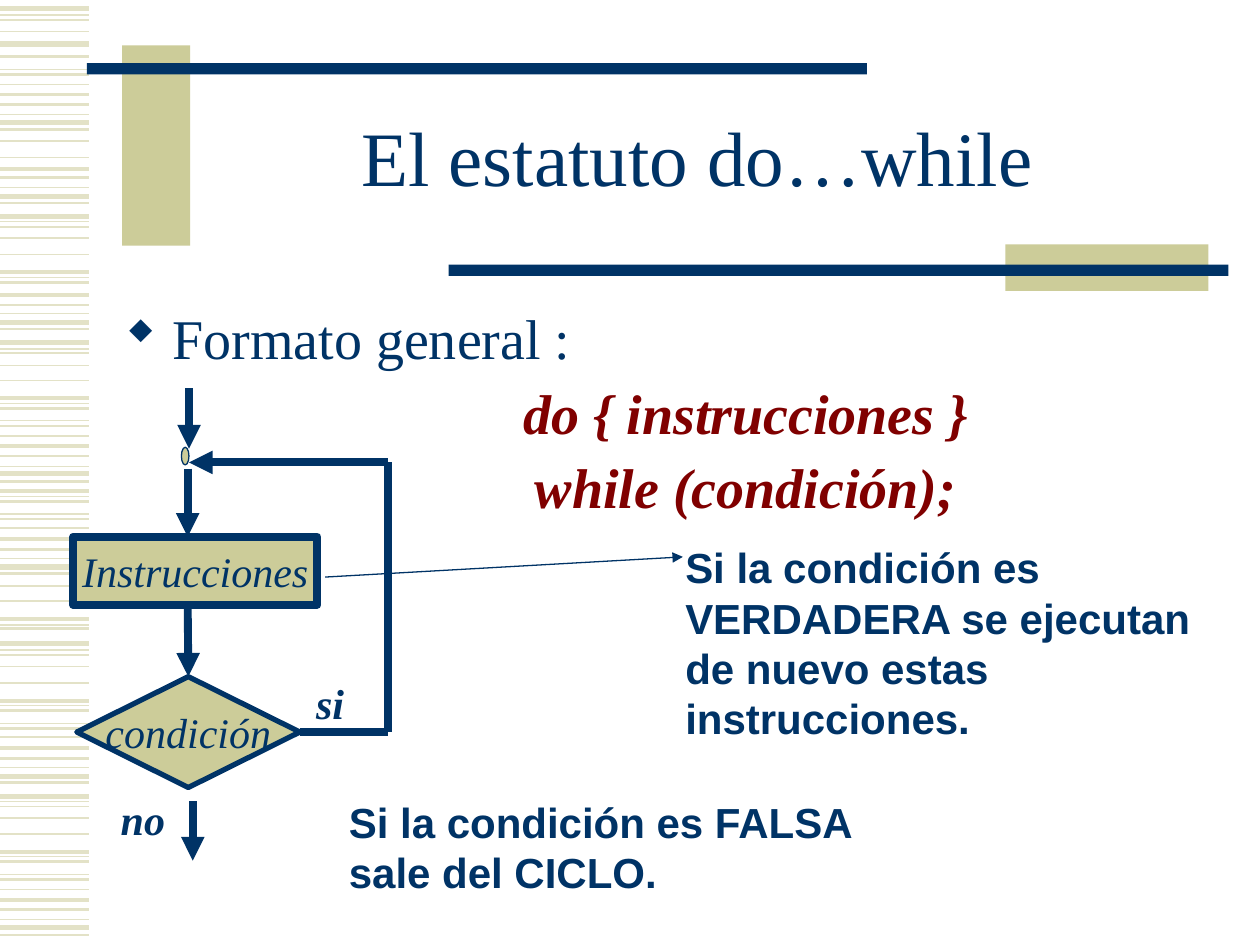
from lxml import etree
from pptx import Presentation
from pptx.dml.color import RGBColor
from pptx.enum.shapes import MSO_CONNECTOR, MSO_SHAPE
from pptx.enum.text import MSO_ANCHOR, PP_ALIGN
from pptx.oxml.ns import qn
from pptx.util import Pt

PX = 9144
STRAIGHT = MSO_CONNECTOR.STRAIGHT
RECT, DIAMOND, OVAL = MSO_SHAPE.RECTANGLE, MSO_SHAPE.FLOWCHART_DECISION, MSO_SHAPE.OVAL
LEFT, CENTER = PP_ALIGN.LEFT, PP_ALIGN.CENTER
TOP, MIDDLE = MSO_ANCHOR.TOP, MSO_ANCHOR.MIDDLE


class Theme:
    navy = RGBColor.from_string("003366")
    khaki = RGBColor.from_string("CCCC99")
    stripe = RGBColor.from_string("E3E2C7")
    maroon = RGBColor.from_string("800000")
    serif, sans, symbols = "Times New Roman", "Arial", "Wingdings"
    diamond = "w"
    title, body, label = 44, 32, 24
    thick, thin = 4.5, 0.75


def add_text(tf, text, size=Theme.label, font=Theme.serif, color=Theme.navy, bold=False,
             italic=False, align=LEFT, anchor=TOP, wrap=False, spacing=None,
             before=0, margin=0, indent=0, bullet=None, append=False):
    tf.word_wrap = wrap
    tf.vertical_anchor = anchor
    for i, line in enumerate(text.split("\n")):
        p = tf.add_paragraph() if append or i else tf.paragraphs[0]
        p.alignment = align
        p.space_before = Pt(before)
        if spacing:
            p.line_spacing = spacing
        pPr = p._p.get_or_add_pPr()
        pPr.set("marL", str(margin * PX))
        pPr.set("indent", str(indent * PX))
        if bullet:
            bu_font = etree.SubElement(pPr, qn("a:buFont"))
            bu_font.set("typeface", Theme.symbols)
            bu_font.set("charset", "2")
            etree.SubElement(pPr, qn("a:buChar")).set("char", bullet)
        else:
            etree.SubElement(pPr, qn("a:buNone"))
        r = p.add_run()
        r.text = line
        r.font.name, r.font.size = font, Pt(size)
        r.font.bold, r.font.italic = bold, italic
        r.font.color.rgb = color


def add_line(x1, y1, x2, y2, width=Theme.thick, color=Theme.navy, arrow=False):
    line = s.shapes.add_connector(STRAIGHT, x1 * PX, y1 * PX, x2 * PX, y2 * PX)
    line.line.width = Pt(width)
    line.line.color.rgb = color
    if arrow:
        etree.SubElement(line.line._get_or_add_ln(), qn("a:tailEnd")).set("type", "triangle")
    etree.SubElement(line._element.spPr, qn("a:effectLst"))
    return line


prs = Presentation()
prs.slide_width, prs.slide_height = 1000 * PX, 750 * PX
s = prs.slides.add_slide(prs.slide_layouts[6])

stripes = {
    0.75: [12, 55, 91, 149, 176, 220, 249, 277, 320, 334, 370, 394, 408, 443, 496, 516,
           560, 574, 609, 636, 680, 694, 730],
    1: [16, 25, 67, 112, 125, 180, 189, 202, 280, 290, 302, 346, 419, 465, 477, 520,
        529, 542, 585, 640, 649, 662, 706],
    1.5: [45, 59, 83, 103, 141, 161, 224, 242, 261, 324, 338, 362, 382, 398, 412, 436,
          455, 499, 564, 578, 602, 621, 684, 698, 722, 742],
    2.25: [75, 134, 216, 234, 316, 354, 390, 428, 491, 556, 594, 676, 714],
    3: [7, 35, 97, 156, 172, 256, 272, 376, 450, 511, 616, 632, 736],
}
for width, ys in stripes.items():
    for y in ys:
        add_line(0, y, 71, y, width=width, color=Theme.stripe)

shapes = [
    (RECT, 97, 36, 54, 159, Theme.khaki, 0, ""),
    (RECT, 69, 50, 619, 9, Theme.navy, 0, ""),
    (RECT, 798, 194, 161, 37, Theme.khaki, 0, ""),
    (RECT, 356, 210, 619, 9, Theme.navy, 0, ""),
    (OVAL, 144, 355, 6, 14, Theme.khaki, Theme.thin, ""),
    (RECT, 58, 426, 194, 54, Theme.khaki, Theme.thick, "Instrucciones"),
    (DIAMOND, 61, 537, 177, 88, Theme.khaki, 3, "condición"),
]
for kind, x, y, w, h, fill, border, text in shapes:
    sp = s.shapes.add_shape(kind, x * PX, y * PX, w * PX, h * PX)
    sp.shadow.inherit = False
    sp.fill.solid()
    sp.fill.fore_color.rgb = fill
    if border:
        sp.line.color.rgb = Theme.navy
        sp.line.width = Pt(border)
    else:
        sp.line.fill.background()
    if text:
        add_text(sp.text_frame, text, italic=True, align=CENTER, anchor=MIDDLE)
condition = sp

add_line(150, 308, 150, 356, arrow=True)
add_line(149, 372, 149, 426, arrow=True)
add_line(149, 483, 149, 537, arrow=True).end_connect(condition, 0)
add_line(153, 636, 153, 683, arrow=True)
add_line(238, 581, 308, 581).begin_connect(condition, 3)
add_line(308, 581, 308, 367)
add_line(308, 367, 150, 367, arrow=True)
add_line(258, 458, 542, 442, width=Theme.thin, arrow=True)

handwritten = dict(bold=True, italic=True)
note = dict(font=Theme.sans, bold=True)
boxes = [
    (150, 67, 807, 125, "El estatuto do…while",
     dict(size=Theme.title, align=CENTER, anchor=MIDDLE, wrap=True, spacing=0.85)),
    (241, 533, 42, 50, "si", handwritten),
    (86, 625, 55, 50, "no", handwritten),
    (534, 425, 422, 170,
     "Si la condición es\nVERDADERA se ejecutan\nde nuevo estas\ninstrucciones.", note),
    (267, 627, 431, 90, "Si la condición es FALSA\nsale del CICLO.", note),
    (89, 242, 870, 189, "Formato general :",
     dict(size=Theme.body, wrap=True, spacing=0.9, margin=38, indent=-38,
          bullet=Theme.diamond)),
]
for x, y, w, h, text, style in boxes:
    tf = s.shapes.add_textbox(x * PX, y * PX, w * PX, h * PX).text_frame
    add_text(tf, text, **style)
add_text(tf, "do { instrucciones }\nwhile (condición);", size=Theme.body, color=Theme.maroon,
         bold=True, italic=True, align=CENTER, wrap=True, spacing=0.9, before=8,
         margin=136, append=True)

prs.save("out.pptx")
